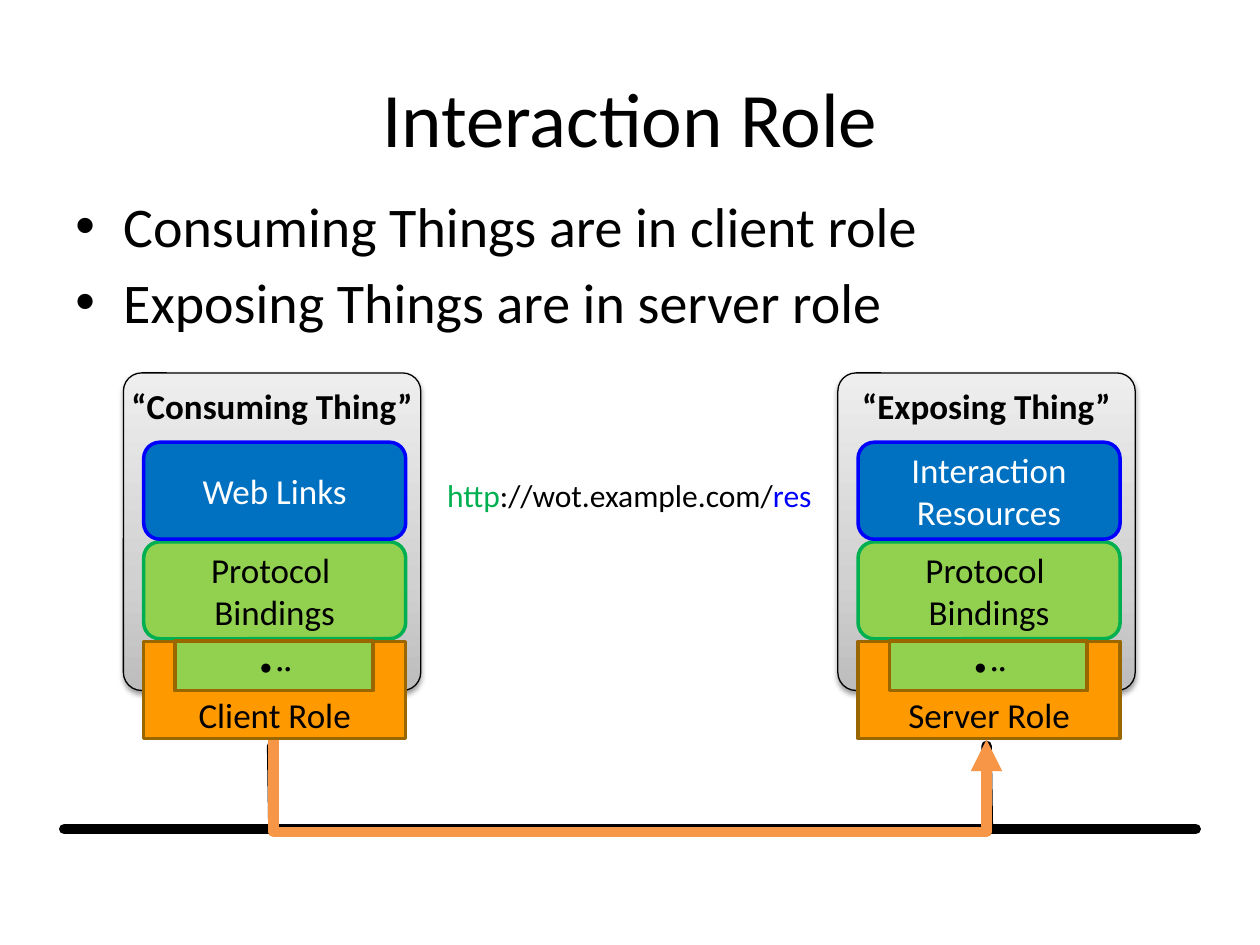
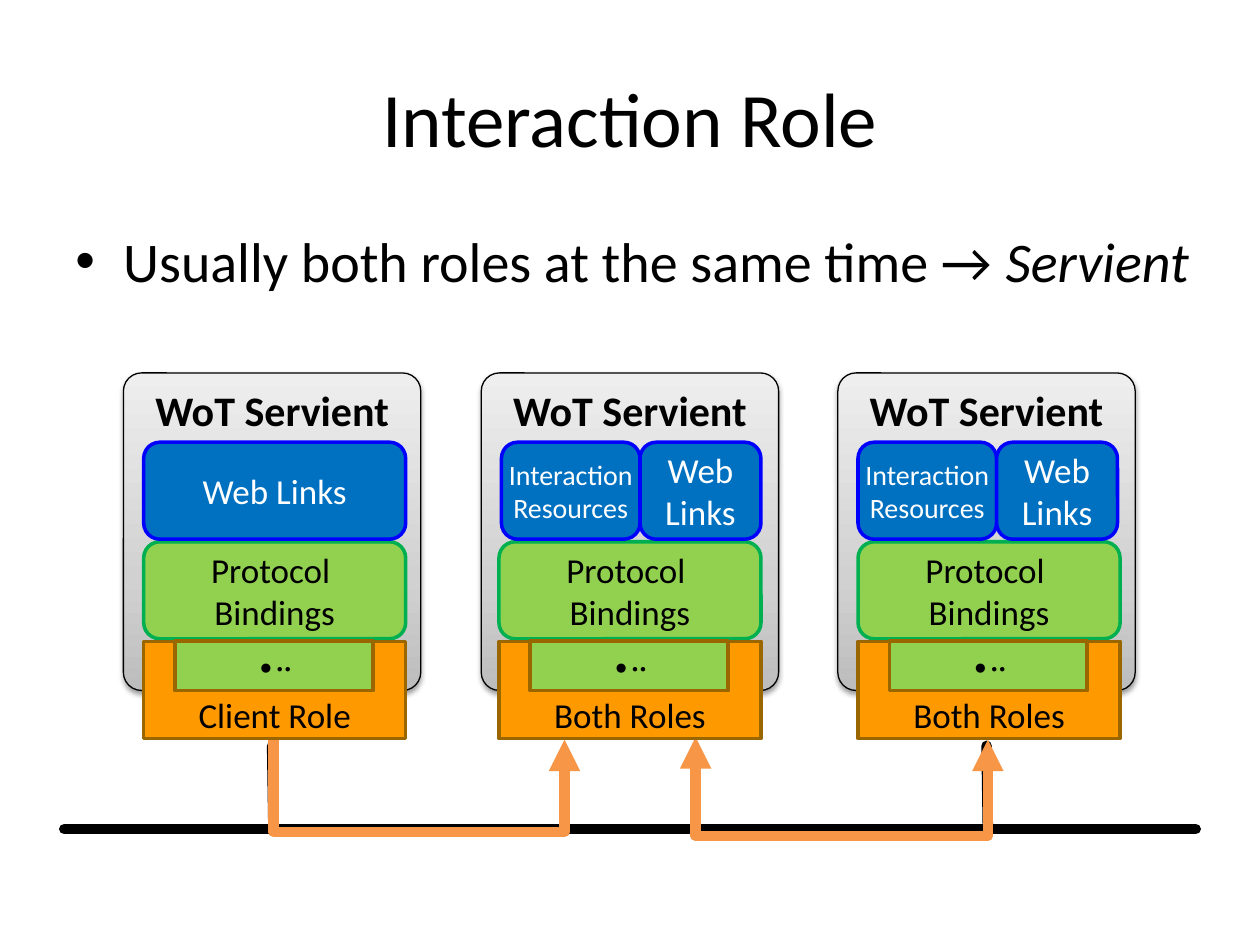
from copy import deepcopy

from lxml import etree
from pptx import Presentation
from pptx import util as u
from pptx.dml.color import RGBColor
from pptx.enum import shapes, text
from pptx.oxml import parse_xml
from pptx.oxml.ns import nsdecls, qn

BLACK, WHITE, ORANGE = "000000", "FFFFFF", "F79646"
BLUE, BLUE_EDGE = "0070C0", "0000FF"
GREEN, GREEN_EDGE = "92D050", "00B050"
ROLE, ROLE_EDGE = "FF9900", "996600"
CENTER, MIDDLE = text.PP_ALIGN.CENTER, text.MSO_ANCHOR.MIDDLE
RECT, ROUNDED = shapes.MSO_SHAPE.RECTANGLE, shapes.MSO_SHAPE.ROUNDED_RECTANGLE

BUS_Y, ROLE_TOP, ROLE_HEIGHT = 6.58, 5.09, 0.77
TIP_Y, SKEW = 5.86, 0.02
SOCKET_INSET, SOCKET_WIDTH, SOCKET_HEIGHT = 0.25, 1.57, 0.39
STACK_WIDTH, STACK_HEIGHT = 2.08, 0.77

GRADIENT = f"""<a:gradFill {nsdecls('a')} rotWithShape="1"><a:gsLst>
<a:gs pos="0"><a:srgbClr val="BDBDBD"/></a:gs>
<a:gs pos="35000"><a:srgbClr val="D1D1D1"/></a:gs>
<a:gs pos="100000"><a:srgbClr val="EEEEEE"/></a:gs>
</a:gsLst><a:lin ang="16200000" scaled="1"/></a:gradFill>"""
SHADOW = f"""<a:effectLst {nsdecls('a')}>
<a:outerShdw blurRad="40000" dist="20000" dir="5400000" rotWithShape="0">
<a:srgbClr val="000000"><a:alpha val="38000"/></a:srgbClr></a:outerShdw></a:effectLst>"""

# Blue parts: offset from the panel's content edge, width, wording, size, side margin
WEB_LINKS = [(0, 2.08, "Web Links", 20, 0.1)]
RESOURCES = [(0, 2.08, "Interaction\vResources", 20, 0.1)]
BOTH = [(0, 1.1, "Interaction\vResources", 16, 0), (1.1, 0.96, "Web\vLinks", 20, 0.1)]

# Things: panel left, stack left, title, title size, blue parts, role
# Arrows: start x, end x, drop, arrowhead at the start too
pages = [
    {
        "body": (1.47, 9, [[("Consuming Things are in client role", {})],
                           [("Exposing Things are in server role", {})]]),
        "things": [(0.98, 1.14, "“Consuming Thing”", 20, WEB_LINKS, "Client Role"),
                   (6.65, 6.81, "“Exposing Thing”", 20, RESOURCES, "Server Role")],
        "arrows": [(2.17, 7.83, 0.74, False)],
        "address": [("http", {"color": GREEN_EDGE}), ("://wot.example.com/", {}),
                    ("res", {"color": BLUE_EDGE})],
    },
    {
        "body": (1.75, 9.3, [[("Usually both roles at the same time → ", {}),
                              ("Servient", {"italic": True})]]),
        "things": [(0.98, 1.14, "WoT Servient", 24, WEB_LINKS, "Client Role"),
                   (3.82, 3.96, "WoT Servient", 24, BOTH, "Both Roles"),
                   (6.65, 6.81, "WoT Servient", 24, BOTH, "Both Roles")],
        "arrows": [(2.17, 4.48, 0.74, False), (5.52, 7.84, 0.77, True)],
        "address": None,
    },
]


def write(box, lines, size, color=BLACK, align=CENTER, anchor=MIDDLE, wrap=True, bold=False):
    """Fill a box with lines, each a list of (wording, changed formats) spans."""
    frame = box.text_frame
    frame.word_wrap, frame.vertical_anchor = wrap, anchor
    for index, line in enumerate(lines):
        para = frame.paragraphs[0] if index == 0 else frame.add_paragraph()
        para.alignment = align
        for wording, changes in line:
            formats = {"name": "Calibri", "size": u.Pt(size), "bold": bold, "color": color, **changes}
            for part_index, part in enumerate(wording.split("\v")):
                if part_index:
                    para.add_line_break()
                    para._p[-1].append(deepcopy(span._r.rPr))
                span = para.add_run()
                span.text = part
                for name, value in formats.items():
                    if name == "color":
                        span.font.color.rgb = RGBColor.from_string(value)
                    else:
                        setattr(span.font, name, value)


def outline(item, color, width, fill=None):
    """Set line and fill, and take the theme shadow away."""
    item.line.color.rgb = RGBColor.from_string(color)
    item.line.width = u.Pt(width)
    if fill:
        item.fill.solid()
        item.fill.fore_color.rgb = RGBColor.from_string(fill)
    etree.SubElement(item._element.spPr, qn("a:effectLst"))


deck = Presentation()
deck.slide_width, deck.slide_height = u.Inches(10), u.Inches(7.5)

for content in pages:
    page = deck.slides.add_slide(deck.slide_layouts[6])
    title = page.shapes.add_textbox(*map(u.Inches, (0.5, 0.3, 9, 1.25)))
    write(title, [[("Interaction Role", {})]], 44)

    top, width, bullets = content["body"]
    body = page.shapes.add_textbox(*map(u.Inches, (0.5, top, width, 6.7 - top)))
    write(body, bullets, 32, align=text.PP_ALIGN.LEFT, anchor=text.MSO_ANCHOR.TOP)
    for index, para in enumerate(body.text_frame.paragraphs):
        para.space_before = u.Pt(5 if index else 0)
        properties = para._p.get_or_add_pPr()
        properties.set("marL", str(u.Inches(0.38)))
        properties.set("indent", str(u.Inches(-0.38)))
        etree.SubElement(properties, qn("a:buFont"), typeface="Arial")
        etree.SubElement(properties, qn("a:buChar"), char="•")

    # Panels behind everything else
    for panel_left, _, name, size, _, _ in content["things"]:
        panel = page.shapes.add_shape(ROUNDED, *map(u.Inches, (panel_left, 2.96, 2.36, 2.52)))
        panel.adjustments[0] = 0.061
        outline(panel, BLACK, 0.75, WHITE)
        properties = panel._element.spPr
        properties.replace(properties.find(qn("a:solidFill")), parse_xml(GRADIENT))
        properties.replace(properties.find(qn("a:effectLst")), parse_xml(SHADOW))
        write(panel, [[(name, {})]], size, anchor=text.MSO_ANCHOR.TOP, wrap=False, bold=True)

    # Network bus with a stub for the first and last thing
    for ends in [(0.51, BUS_Y, 9.49, BUS_Y), (2.17, 6.56, 2.16, 5.92), (7.84, 6.56, 7.83, 5.92)]:
        wire = page.shapes.add_connector(shapes.MSO_CONNECTOR.STRAIGHT, *map(u.Inches, ends))
        outline(wire, BLACK, 6)
        wire.line._ln.set("cap", "rnd")
        etree.SubElement(wire.line._ln, qn("a:round"))

    # Each elbow lies on its side, so its width is the skew and its height the span
    for start, end, drop, two_headed in content["arrows"]:
        reach = end - start
        left, top = (start + end - SKEW) / 2, TIP_Y - reach / 2
        arrow = page.shapes.add_connector(
            shapes.MSO_CONNECTOR.ELBOW, *map(u.Inches, (left, top, left + SKEW, top + reach)))
        frame = arrow._element.spPr.find(qn("a:xfrm"))
        frame.set("rot", str(270 * 60000))
        frame.set("flipH", "1")
        guides = arrow._element.spPr.find(qn("a:prstGeom")).get_or_add_avLst()
        bend = round((drop + SKEW / 2) / SKEW * 100000)
        etree.SubElement(guides, qn("a:gd"), name="adj1", fmla=f"val {bend}")
        outline(arrow, ORANGE, 6)
        etree.SubElement(arrow.line._ln, qn("a:round"))
        for tag in ["a:headEnd", "a:tailEnd"] if two_headed else ["a:tailEnd"]:
            etree.SubElement(arrow.line._ln, qn(tag), type="triangle")

    for panel_left, left, _, _, blue_parts, role in content["things"]:
        bindings = page.shapes.add_shape(
            ROUNDED, *map(u.Inches, (left, 4.3, STACK_WIDTH, STACK_HEIGHT)))
        outline(bindings, GREEN_EDGE, 2, GREEN)
        write(bindings, [[("Protocol \vBindings", {})]], 20)

        for offset, width, wording, size, margin in blue_parts:
            part = page.shapes.add_shape(
                ROUNDED, *map(u.Inches, (panel_left + 0.16 + offset, 3.51, width, STACK_HEIGHT)))
            outline(part, BLUE_EDGE, 2, BLUE)
            part.text_frame.margin_left = part.text_frame.margin_right = u.Inches(margin)
            write(part, [[(wording, {})]], size, color=WHITE)

        socket_left = left + SOCKET_INSET
        socket_right, socket_bottom = socket_left + SOCKET_WIDTH, ROLE_TOP + SOCKET_HEIGHT
        right, bottom = left + STACK_WIDTH, ROLE_TOP + ROLE_HEIGHT
        corners = [(socket_left, ROLE_TOP), (socket_left, socket_bottom),
                   (socket_right, socket_bottom), (socket_right, ROLE_TOP),
                   (right, ROLE_TOP), (right, bottom), (left, bottom)]
        builder = page.shapes.build_freeform(u.Inches(left), u.Inches(ROLE_TOP))
        builder.add_line_segments([(u.Inches(x), u.Inches(y)) for x, y in corners], close=True)
        cradle = builder.convert_to_shape()
        outline(cradle, ROLE_EDGE, 2, ROLE)
        cradle.text_frame.margin_top, cradle.text_frame.margin_bottom = 0, u.Inches(0.02)
        write(cradle, [[(role, {})]], 20, anchor=text.MSO_ANCHOR.BOTTOM)

        socket = page.shapes.add_shape(
            RECT, *map(u.Inches, (socket_left, ROLE_TOP, SOCKET_WIDTH, SOCKET_HEIGHT)))
        outline(socket, ROLE_EDGE, 2.25, GREEN)
        write(socket, [[("∙··", {})]], 18)

    if content["address"]:
        address = page.shapes.add_textbox(*map(u.Inches, (3.43, 3.73, 3.13, 0.4)))
        write(address, [content["address"]], 18, anchor=text.MSO_ANCHOR.TOP, wrap=False)

deck.save("out.pptx")
